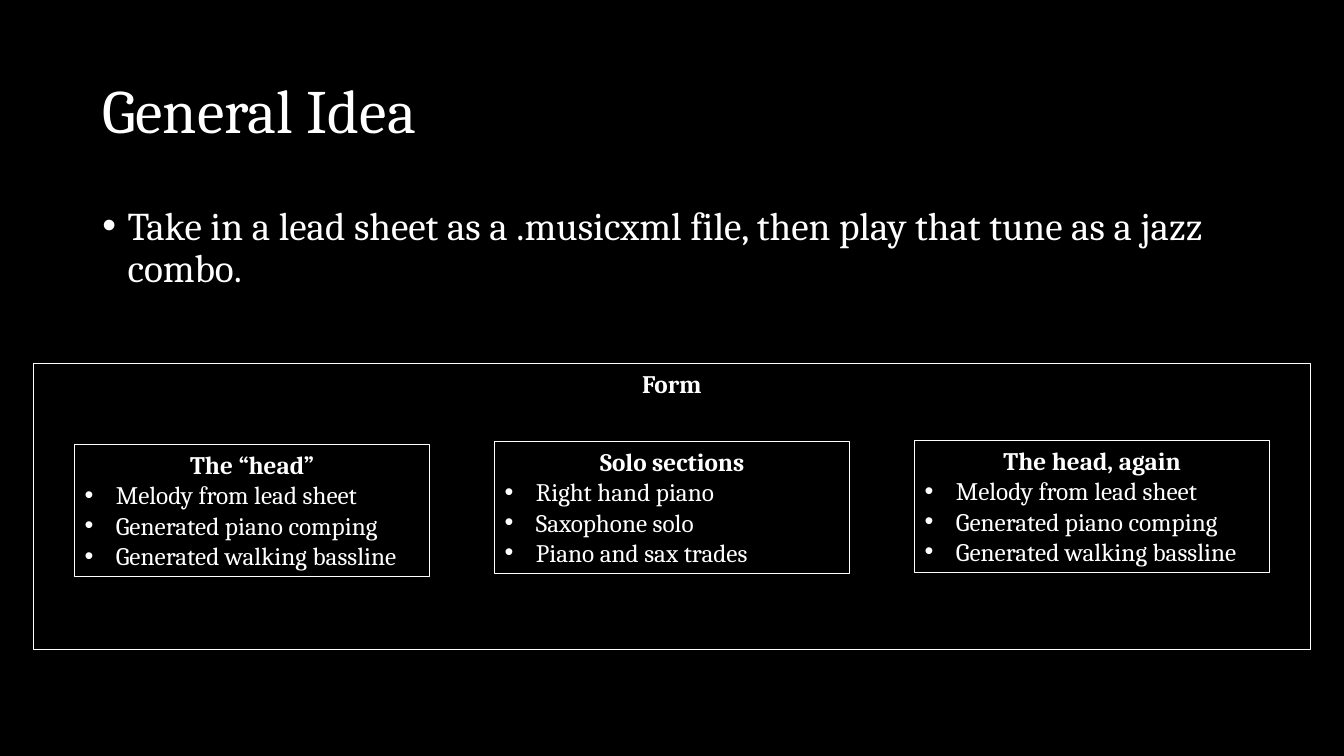
from lxml.etree import SubElement
from pptx import Presentation
from pptx.dml.color import RGBColor
from pptx.enum.shapes import MSO_SHAPE as Shape
from pptx.enum.text import MSO_ANCHOR as Anchor, PP_ALIGN as Align
from pptx.oxml.ns import qn
from pptx.util import Inches, Pt

BLACK = RGBColor(0x00, 0x00, 0x00)
WHITE = RGBColor(0xFF, 0xFF, 0xFF)
COLUMNS, ROWS = 160, 90

HEAD_PARTS = ["Melody from lead sheet", "Generated piano comping",
              "Generated walking bassline"]
SOLO_PARTS = ["Right hand piano", "Saxophone solo", "Piano and sax trades"]
# Heading, top row, bullet lines
SECTIONS = [
    ("The “head”", 52.92, HEAD_PARTS),
    ("Solo sections", 52.56, SOLO_PARTS),
    ("The head, again", 52.44, HEAD_PARTS),
]
SECTION_LEFT, SECTION_STEP = 8.9, 50


class SlideBuilder:
    """Places styled elements on a grid of COLUMNS by ROWS."""

    font_name = "Cambria"

    def __init__(self, presentation):
        self.column = presentation.slide_width / COLUMNS
        self.row = presentation.slide_height / ROWS
        self.slide = presentation.slides.add_slide(presentation.slide_layouts[6])
        background = self.slide.background.fill
        background.solid()
        background.fore_color.rgb = BLACK

    def place(self, left, top, width, height):
        return (round(left * self.column), round(top * self.row),
                round(width * self.column), round(height * self.row))

    def fill_paragraph(self, paragraph, text, size, bold=False,
                       bullet_indent=None, **layout):
        run = paragraph.add_run()
        run.text = text
        font_format = {"name": self.font_name, "size": Pt(size), "bold": bold}
        for name, value in font_format.items():
            setattr(run.font, name, value)
        run.font.color.rgb = WHITE
        for name, value in {"alignment": Align.LEFT, **layout}.items():
            setattr(paragraph, name, value)
        if bullet_indent:
            self.add_bullet(paragraph, bullet_indent)

    def add_bullet(self, paragraph, indent):
        properties = paragraph._p.get_or_add_pPr()
        properties.set("marL", str(Inches(indent)))
        properties.set("indent", str(-Inches(indent)))
        SubElement(properties, qn("a:buFont"), typeface="Arial")
        SubElement(properties, qn("a:buChar"), char="•")

    def add_text(self, area, text, size, anchor=Anchor.TOP, **layout):
        frame = self.slide.shapes.add_textbox(*self.place(*area)).text_frame
        frame.word_wrap = True
        frame.vertical_anchor = anchor
        self.fill_paragraph(frame.paragraphs[0], text, size, line_spacing=0.9, **layout)

    def add_box(self, area, heading, items=()):
        """Outlined box with a centred bold heading above bullet lines."""
        shape = self.slide.shapes.add_shape(Shape.RECTANGLE, *self.place(*area))
        shape.shadow.inherit = False
        shape.fill.background()
        shape.line.color.rgb = WHITE
        shape.line.width = Pt(0.75)
        frame = shape.text_frame
        frame.word_wrap = True
        frame.vertical_anchor = Anchor.TOP
        self.fill_paragraph(frame.paragraphs[0], heading, 18, bold=True,
                            alignment=Align.CENTER)
        for item in items:
            self.fill_paragraph(frame.add_paragraph(), item, 18, bullet_indent=0.31)


def main():
    presentation = Presentation()
    presentation.slide_width = Inches(13.33)
    presentation.slide_height = Inches(7.5)
    builder = SlideBuilder(presentation)
    builder.add_box((4, 43.3, 152, 34), "Form")
    builder.add_text((11, 4.8, 138, 17.4), "General Idea", 44, anchor=Anchor.MIDDLE)
    builder.add_text(
        (11, 24, 138, 57.1),
        "Take in a lead sheet as a .musicxml file, then play that tune as a jazz combo.",
        28, bullet_indent=0.25, space_before=Pt(10))
    for index, (heading, top, items) in enumerate(SECTIONS):
        left = SECTION_LEFT + index * SECTION_STEP
        builder.add_box((left, top, 42.25, 15.75), heading, items)
    presentation.save("out.pptx")


if __name__ == "__main__":
    main()
